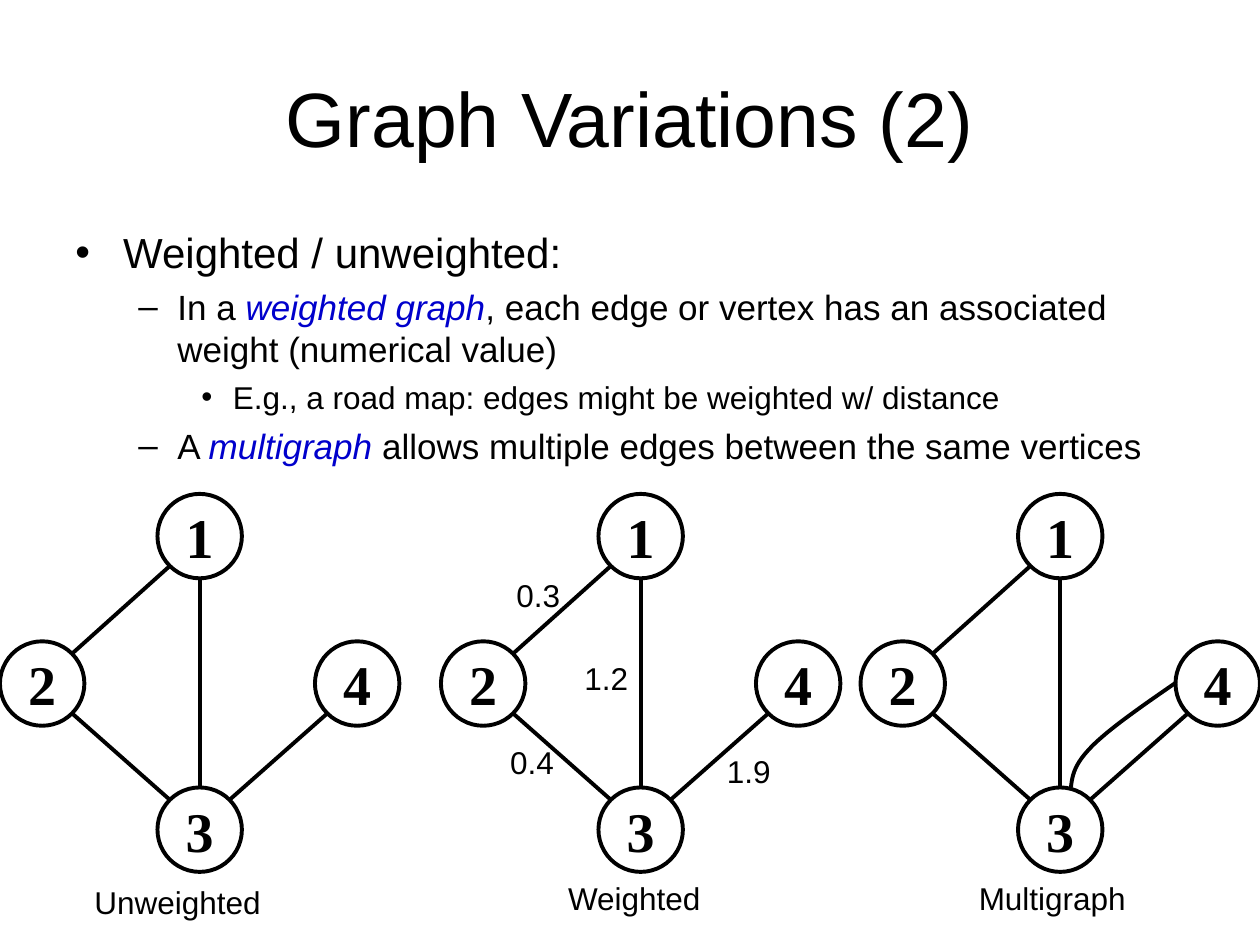
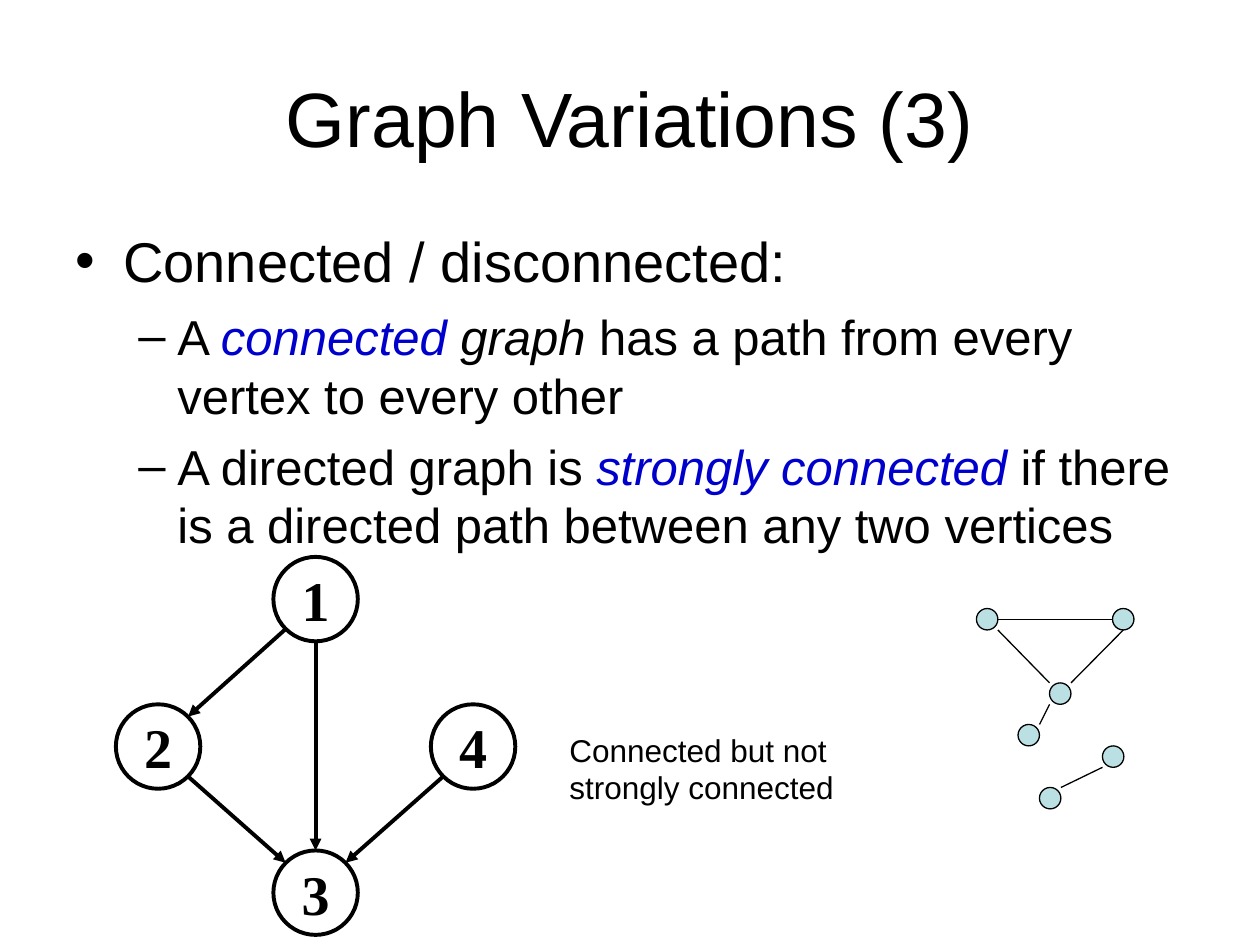
import pptx
import pptx.util
import pptx.dml.color
import pptx.enum.shapes
import pptx.enum.text
import pptx.oxml
import pptx.oxml.ns

Inches, Pt = pptx.util.Inches, pptx.util.Pt
PP_ALIGN = pptx.enum.text.PP_ALIGN
ANCHOR = pptx.enum.text.MSO_ANCHOR

BLACK, BLUE, PALE = "000000", "0000CC", "BBE0E3"
BODY_FONT, NODE_FONT = "Arial", "Times New Roman"

LEVELS = [(0.38, 0.38, "•"), (0.81, 0.31, "–"), (1.25, 0.25, "•")]

PLAIN, ITALIC, TERM = (BLACK, False), (BLACK, True), (BLUE, True)

SLIDES = [
    {
        "title": "Graph Variations (2)",
        "body_height": 2.33,
        "body": [
            (0, 24, 6, [("Weighted / unweighted:", PLAIN)]),
            (1, 20, 5, [("In a ", PLAIN), ("weighted graph", TERM),
                        (", each edge or vertex has an associated weight (numerical value)", PLAIN)]),
            (2, 18, 4.5, [("E.g., a road map: edges might be weighted w/ distance", PLAIN)]),
            (1, 20, 5, [("A ", PLAIN), ("multigraph", TERM),
                        (" allows multiple edges between the same vertices", PLAIN)]),
        ],
        "graphs": [(0, 3.92), (3.5, 3.92), (6.83, 3.92)],
        "directed": False,
        "labels": [
            ("Unweighted", 0.65, 6.96, 1.52, 0.4),
            ("Weighted", 4.41, 6.93, 1.25, 0.4),
            ("Multigraph", 7.67, 6.93, 1.4, 0.4),
            ("0.3", 4.0, 4.52, 0.55, 0.4),
            ("0.4", 3.95, 5.85, 0.55, 0.4),
            ("1.2", 4.54, 5.18, 0.55, 0.4),
            ("1.9", 5.67, 5.92, 0.55, 0.4),
        ],
        "parallel_edge": [
            [(8.5, 6.25), (8.51, 6.15), (8.53, 6.06), (8.67, 5.92)],
            [(8.67, 5.92), (8.81, 5.78), (9.07, 5.6), (9.33, 5.42)],
        ],
    },
    {
        "title": "Graph Variations (3)",
        "body_height": 4.95,
        "body": [
            (0, 32, 8, [("Connected / disconnected:", PLAIN)]),
            (1, 28, 7, [("A ", PLAIN), ("connected", TERM), (" graph ", ITALIC),
                        ("has a path from every vertex to every other", PLAIN)]),
            (1, 28, 7, [("A directed graph is ", PLAIN), ("strongly connected ", TERM),
                        ("if there is a directed path between any two vertices", PLAIN)]),
        ],
        "graphs": [(0.92, 4.42)],
        "directed": True,
        "labels": [("Connected but not strongly connected", 4.42, 5.75, 2.92, 0.7)],
        "small_graph": True,
    },
]

NODE_SIZE, DIAGONAL = 0.67, 0.71
NODES = {"1": (1.25, 0), "2": (0, 1.17), "4": (2.5, 1.17), "3": (1.25, 2.33)}
EDGES = [
    (("1", -1, 1), ("2", 1, -1)),
    (("2", 1, 1), ("3", -1, -1)),
    (("4", -1, 1), ("3", 1, -1)),
    (("1", 0, 1), ("3", 0, -1)),
]

DOT_SIZE = 0.17
DOTS = {"a": (7.75, 4.83), "b": (8.83, 4.83), "c": (8.33, 5.42),
        "d": (8.08, 5.75), "e": (8.75, 5.92), "f": (8.25, 6.25)}
DOT_EDGES = [
    (("a", 1, 1), ("c", -1, -1)),
    (("a", 1, 0), ("b", -1, 0)),
    (("b", 0, 1), ("c", 1, -1)),
    (("c", -1, 1), ("d", 1, -1)),
    (("f", 1, -1), ("e", -1, 1)),
]


def color(value):
    return pptx.dml.color.RGBColor.from_string(value)


def sub(parent, tag, **attrs):
    el = pptx.oxml.parse_xml(f'<{tag} {pptx.oxml.ns.nsdecls("a")}/>')
    for name, value in attrs.items():
        el.set(name, str(value))
    parent.append(el)
    return el


def add_run(p, text, size, font=BODY_FONT, style=PLAIN, bold=False):
    r = p.add_run()
    r.text = text
    r.font.name, r.font.size, r.font.bold = font, Pt(size), bold
    r.font.color.rgb, r.font.italic = color(style[0]), style[1]


def add_text(slide, x, y, w, h, wrap=True):
    tf = slide.shapes.add_textbox(Inches(x), Inches(y), Inches(w), Inches(h)).text_frame
    tf.word_wrap = wrap
    return tf


def add_title(slide, text):
    tf = add_text(slide, 0.5, 0.3, 9, 1.25)
    tf.vertical_anchor = ANCHOR.MIDDLE
    p = tf.paragraphs[0]
    p.alignment = PP_ALIGN.CENTER
    add_run(p, text, 44)


def add_body(slide, height, paragraphs):
    tf = add_text(slide, 0.5, 1.75, 9, height)
    for i, (level, size, before, runs) in enumerate(paragraphs):
        p = tf.add_paragraph() if i else tf.paragraphs[0]
        p.level, p.space_before = level, Pt(before)
        left, hang, bullet = LEVELS[level]
        pPr = p._p.get_or_add_pPr()
        pPr.set("marL", str(Inches(left)))
        pPr.set("indent", str(-Inches(hang)))
        sub(sub(pPr, "a:buClr"), "a:srgbClr", val=BLACK)
        sub(pPr, "a:buFont", typeface=BODY_FONT)
        sub(pPr, "a:buChar", char=bullet)
        for text, style in runs:
            add_run(p, text, size, style=style)


def add_label(slide, text, x, y, w, h):
    tf = add_text(slide, x, y, w, h, wrap=" " in text)
    tf.auto_size = pptx.enum.text.MSO_AUTO_SIZE.SHAPE_TO_FIT_TEXT
    add_run(tf.paragraphs[0], text, 18)


def set_line(sp, width):
    sp.line.color.rgb, sp.line.width = color(BLACK), Pt(width)


def add_circle(slide, x, y, size, width, fill=None, text=None):
    sp = slide.shapes.add_shape(pptx.enum.shapes.MSO_SHAPE.OVAL,
                                Inches(x), Inches(y), Inches(size), Inches(size))
    sp.shadow.inherit = False
    set_line(sp, width)
    if fill:
        sp.fill.solid()
        sp.fill.fore_color.rgb = color(fill)
    else:
        sp.fill.background()
    if text:
        tf = sp.text_frame
        tf.word_wrap, tf.vertical_anchor = False, ANCHOR.MIDDLE
        p = tf.paragraphs[0]
        p.alignment = PP_ALIGN.CENTER
        add_run(p, text, 32, NODE_FONT, bold=True)


def add_edge(slide, start, end, width, arrow=False):
    points = [Inches(v) for v in (*start, *end)]
    cn = slide.shapes.add_connector(pptx.enum.shapes.MSO_CONNECTOR.STRAIGHT, *points)
    set_line(cn, width)
    if arrow:
        sub(cn.line._get_or_add_ln(), "a:tailEnd", type="triangle")
    sub(cn._element.spPr, "a:effectLst")


def add_graph(slide, origin, nodes, edges, size, width, diagonal=1,
              fill=None, named=False, arrow=False):
    ox, oy = origin
    for name, (x, y) in nodes.items():
        add_circle(slide, ox + x, oy + y, size, width, fill, name if named else None)

    def anchor(name, sx, sy):
        x, y = nodes[name]
        reach = size / 2 * (diagonal if sx and sy else 1)
        return ox + x + size / 2 + sx * reach, oy + y + size / 2 + sy * reach

    for start, end in edges:
        add_edge(slide, anchor(*start), anchor(*end), width, arrow)


def bezier(points, t):
    weights = [(1 - t) ** 3, 3 * t * (1 - t) ** 2, 3 * t * t * (1 - t), t ** 3]
    return tuple(Inches(sum(w * pt[axis] for w, pt in zip(weights, points))) for axis in (0, 1))


def add_curve(slide, segments, steps=12):
    points = [bezier(s, i / steps) for s in segments for i in range(1, steps + 1)]
    fb = slide.shapes.build_freeform(*bezier(segments[0], 0))
    fb.add_line_segments(points, close=False)
    sp = fb.convert_to_shape()
    sp.shadow.inherit = False
    sp.fill.background()
    set_line(sp, 2.25)


def main():
    prs = pptx.Presentation()
    prs.slide_width, prs.slide_height = Inches(10), Inches(7.5)
    for content in SLIDES:
        slide = prs.slides.add_slide(prs.slide_layouts[6])
        add_title(slide, content["title"])
        add_body(slide, content["body_height"], content["body"])
        for origin in content["graphs"]:
            add_graph(slide, origin, NODES, EDGES, NODE_SIZE, 2.25, DIAGONAL,
                      named=True, arrow=content["directed"])
        for label in content["labels"]:
            add_label(slide, *label)
        if "parallel_edge" in content:
            add_curve(slide, content["parallel_edge"])
        if "small_graph" in content:
            add_graph(slide, (0, 0), DOTS, DOT_EDGES, DOT_SIZE, 0.75, fill=PALE)
    prs.save("out.pptx")


if __name__ == "__main__":
    main()
